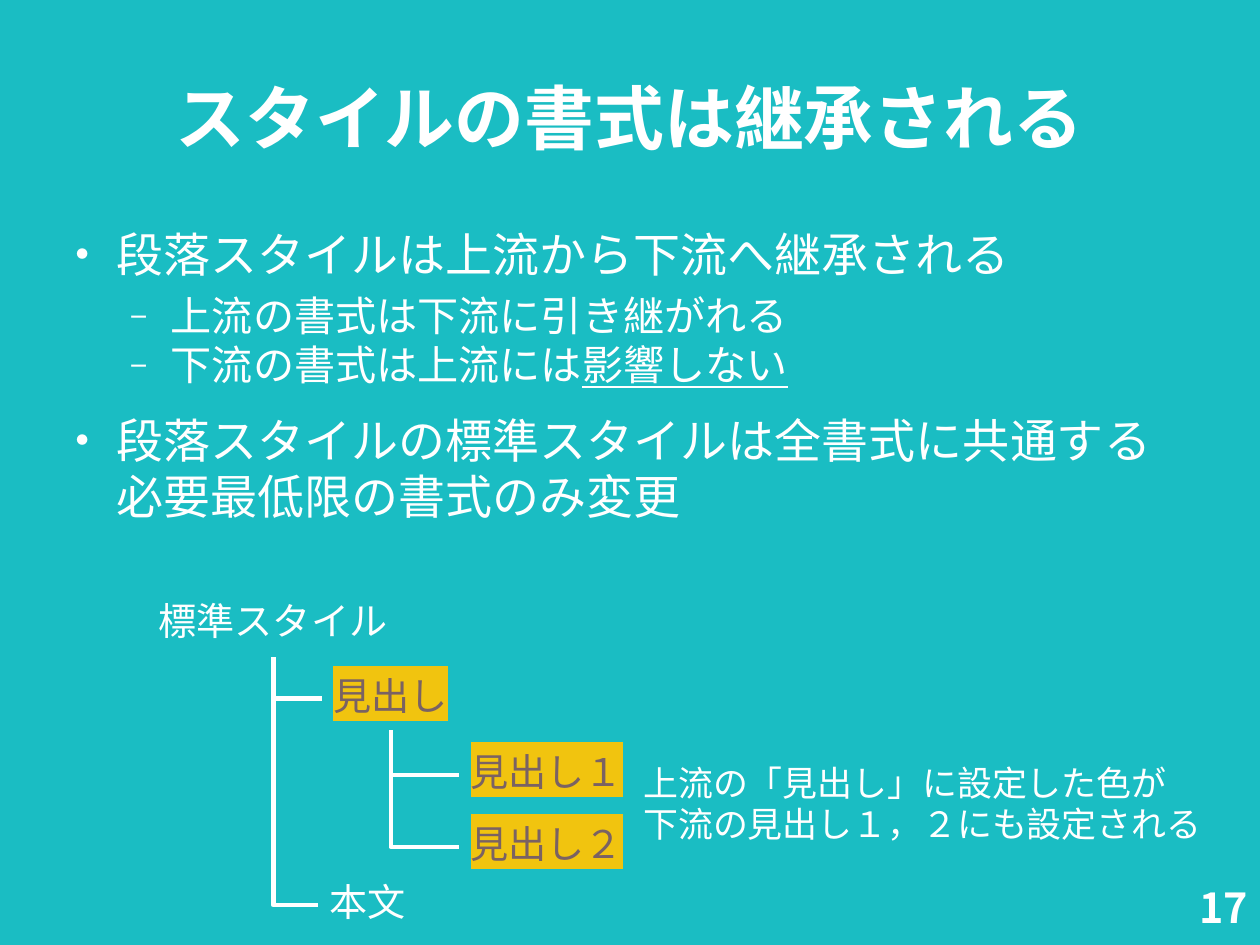
from lxml import etree
from pptx import Presentation
from pptx.dml.color import RGBColor
from pptx.enum.shapes import MSO_CONNECTOR
from pptx.enum.text import MSO_ANCHOR, PP_ALIGN
from pptx.oxml.ns import qn
from pptx.util import Pt

COLORS = {"background": "1ABDC3", "text": "FFFFFF", "heading": "7A6263", "highlight": "F1C40F"}
FONT = "Noto Sans CJK JP"


def add_box(left, top, width, height, inset_x=0, inset_y=0, wrap=True):
    """Add an empty text box and return its text frame."""
    frame = slide.shapes.add_textbox(Pt(left), Pt(top), Pt(width), Pt(height)).text_frame
    frame.word_wrap = wrap
    frame.margin_left = frame.margin_right = Pt(inset_x)
    frame.margin_top = frame.margin_bottom = Pt(inset_y)
    return frame


def add_run(paragraph, text, size, color="text", bold=False, underline=False, highlight=None):
    run = paragraph.add_run()
    run.text = text
    font = run.font
    font.size = Pt(size)
    font.bold = bold
    font.underline = underline
    font.color.rgb = RGBColor.from_string(COLORS[color])
    font.name = FONT
    properties = run._r.get_or_add_rPr()
    if highlight:
        mark = etree.Element(qn("a:highlight"))
        etree.SubElement(mark, qn("a:srgbClr"), val=COLORS[highlight])
        properties.find(qn("a:solidFill")).addnext(mark)
    east_asian = etree.Element(qn("a:ea"), typeface=FONT)
    properties.find(qn("a:latin")).addnext(east_asian)


presentation = Presentation()
presentation.slide_width = Pt(793.7)
presentation.slide_height = Pt(595.3)
slide = presentation.slides.add_slide(presentation.slide_layouts[6])
slide.background.fill.solid()
slide.background.fill.fore_color.rgb = RGBColor.from_string(COLORS["background"])

# Title
title = add_box(39.6, 23.8, 714.2, 99.4)
title.vertical_anchor = MSO_ANCHOR.MIDDLE
title.paragraphs[0].alignment = PP_ALIGN.CENTER
add_run(title.paragraphs[0], "スタイルの書式は継承される", 44, bold=True)

# Bullets: level, space before, lines of (text, underlined) runs
bullets = [
    (0, 0, [[("段落スタイルは上流から下流へ継承される", False)]]),
    (1, 5.7, [[("上流の書式は下流に引き継がれる", False)]]),
    (1, 0, [[("下流の書式は上流には", False), ("影響しない", True)]]),
    (0, 14.1, [[("段落スタイルの標準スタイルは全書式に共通する", False)],
               [("必要最低限の書式のみ変更", False)]]),
]
# Level: text size, left margin, bullet, bullet size in percent
levels = [(29.6, 34, "●", 25), (25.9, 68, "−", 75)]
body = add_box(39.6, 141.8, 714.2, 205.2)
for index, (level, space_before, lines) in enumerate(bullets):
    size, margin, bullet, percent = levels[level]
    paragraph = body.add_paragraph() if index else body.paragraphs[0]
    paragraph.level = level
    properties = paragraph._p.get_or_add_pPr()
    properties.set("marL", str(Pt(margin)))
    properties.set("indent", str(-Pt(25.5)))
    bullet_color = etree.SubElement(properties, qn("a:buClr"))
    etree.SubElement(bullet_color, qn("a:srgbClr"), val=COLORS["text"])
    etree.SubElement(properties, qn("a:buSzPct"), val=str(percent * 1000))
    etree.SubElement(properties, qn("a:buFont"), typeface=FONT)
    etree.SubElement(properties, qn("a:buChar"), char=bullet)
    paragraph.space_before = Pt(space_before)
    for line_index, runs in enumerate(lines):
        if line_index:
            paragraph.add_line_break()
        for text, underlined in runs:
            add_run(paragraph, text, size, underline=underlined)

# Style tree labels
plain = {"size": 24}
heading = {"size": 24, "color": "heading", "highlight": "highlight"}
note = {"size": 22}
labels = [
    (92.9, 373, 164, 41.8, ["標準スタイル"], plain),
    (203, 419.8, 90, 41.8, ["見出し"], heading),
    (289.4, 467.7, 114, 41.8, ["見出し１"], heading),
    (289.4, 513.1, 114, 41.8, ["見出し２"], heading),
    (200.2, 550.1, 70, 41.8, ["本文"], plain),
    (398.2, 475.9, 372, 70.6,
     ["上流の「見出し」に設定した色が", "下流の見出し１，２にも設定される"], note),
]
for left, top, width, height, lines, style in labels:
    frame = add_box(left, top, width, height, inset_x=7.2, inset_y=3.6, wrap=False)
    for index, text in enumerate(lines):
        paragraph = frame.add_paragraph() if index else frame.paragraphs[0]
        add_run(paragraph, text, **style)

# Branches run down from a parent, then right to a child
branches = [
    (172.1, 414, 203, 439.9),
    (172.1, 414, 200.2, 570.2),
    (246.2, 460.1, 289.4, 488.2),
    (246.2, 460.1, 289.4, 533.5),
]
for start_x, start_y, end_x, end_y in branches:
    center_x, center_y = (start_x + end_x) / 2, (start_y + end_y) / 2
    half_width, half_height = (end_x - start_x) / 2, (end_y - start_y) / 2
    # The quarter turn swaps width and height around the centre
    branch = slide.shapes.add_connector(
        MSO_CONNECTOR.ELBOW,
        Pt(center_x + half_height), Pt(center_y - half_width),
        Pt(center_x - half_height), Pt(center_y + half_width))
    branch.line.color.rgb = RGBColor.from_string(COLORS["text"])
    branch.line.width = Pt(2.83)
    properties = branch._element.spPr
    properties.find(qn("a:xfrm")).set("rot", str(270 * 60000))
    properties.find(qn("a:prstGeom")).set("prst", "bentConnector2")
    etree.SubElement(properties, qn("a:effectLst"))

# Page number
page_number = add_box(601.2, 555.8, 185, 41)
page_number.paragraphs[0].alignment = PP_ALIGN.RIGHT
add_run(page_number.paragraphs[0], "17", 26, bold=True)

presentation.save("out.pptx")
